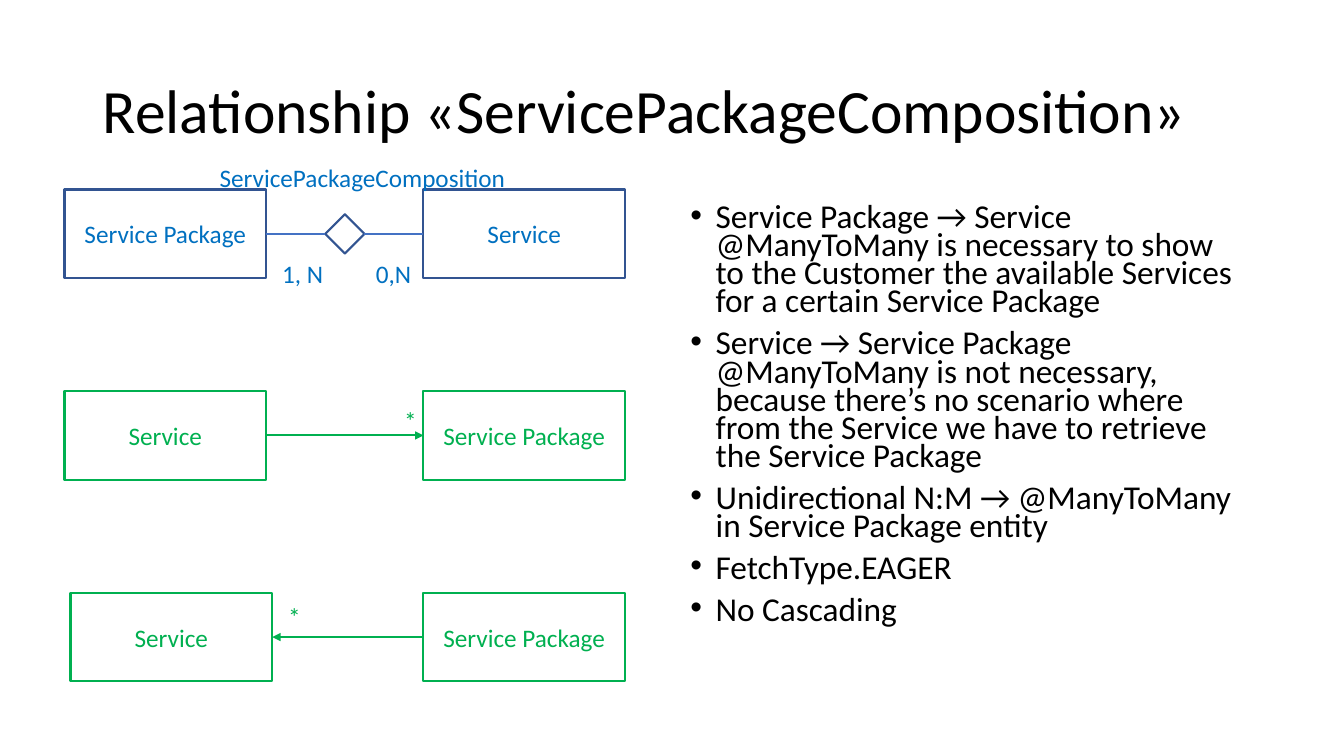
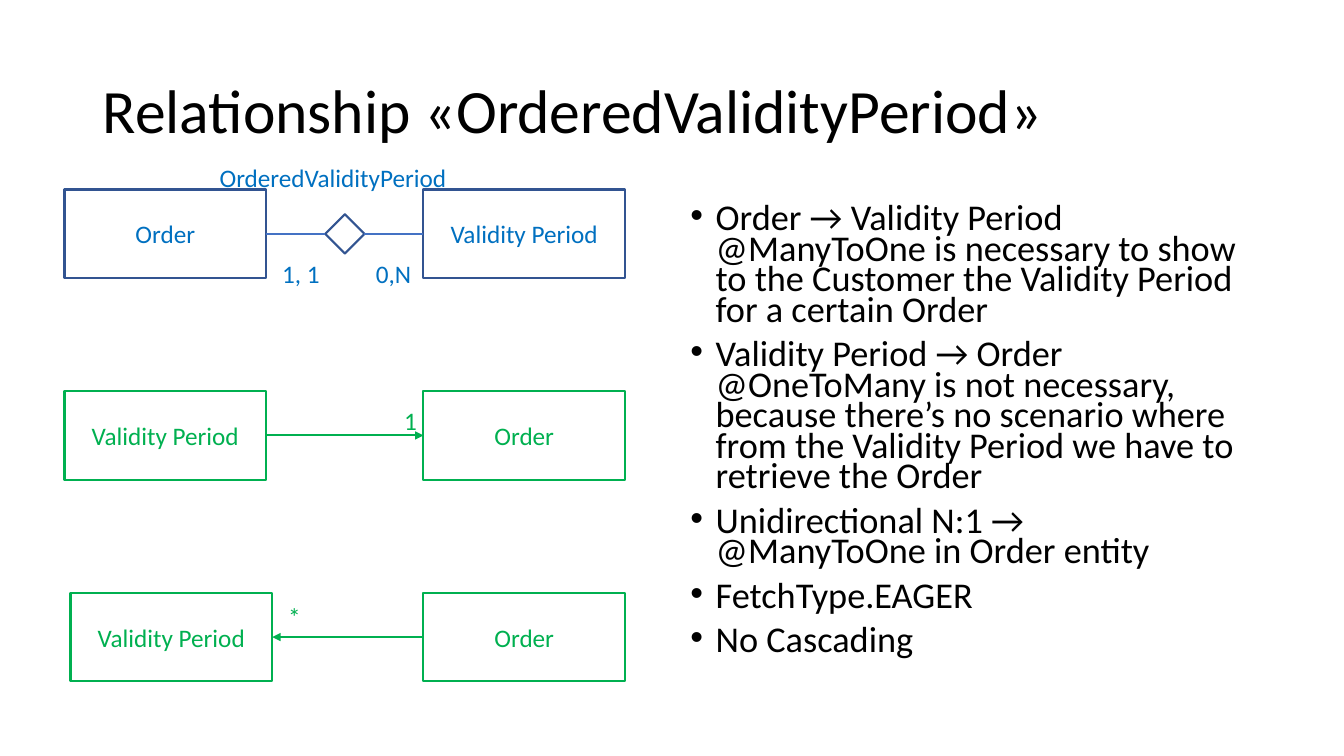
from lxml import etree
from pptx import Presentation
from pptx.dml.color import RGBColor
from pptx.enum.shapes import MSO_CONNECTOR, MSO_SHAPE
from pptx.enum.text import MSO_ANCHOR, PP_ALIGN
from pptx.oxml.ns import qn
from pptx.util import Inches, Pt

RECTANGLE, DIAMOND = MSO_SHAPE.RECTANGLE, MSO_SHAPE.DIAMOND
STRAIGHT = MSO_CONNECTOR.STRAIGHT
MIDDLE, TOP = MSO_ANCHOR.MIDDLE, MSO_ANCHOR.TOP
CENTER = PP_ALIGN.CENTER

COLORS = {
    "text": "000000",
    "entity": "0070C0",
    "outline": "325491",
    "link": "4472C4",
    "relation": "00B050",
}
FONT = "Calibri"
LABEL_SIZE = 18
LINE_WIDTH = 1.5
BOX_WIDTH, BOX_HEIGHT = 2, 0.88
LEFT, LEFT_INSET, RIGHT = 0.64, 0.7, 4.2
ROW_TOPS = [1.88 + 2 * row for row in range(3)]
DIAMOND_SIZE = 0.39
TITLE_FORMAT = {"line_spacing": 0.9}
BULLET_FORMAT = {"line_spacing": 0.7, "space_before": Pt(10)}

PAGES = [
    {
        "name": "ServicePackageComposition",
        "owner": "Service Package",
        "target": "Service",
        "cardinality": "1, N",
        "cardinality_width": 0.61,
        "forward": "*",
        "size": 23.8,
        "bullets": [
            "Service Package → Service @ManyToMany is necessary to show to the Customer "
            "the available Services for a certain Service Package",
            "Service → Service Package @ManyToMany is not necessary, because there’s no "
            "scenario where from the Service we have to retrieve the Service Package",
            "Unidirectional N:M → @ManyToMany in Service Package entity",
        ],
    },
    {
        "name": "OrderedValidityPeriod",
        "owner": "Order",
        "target": "Validity Period",
        "cardinality": "1, 1",
        "cardinality_width": 0.58,
        "forward": "1",
        "size": 25.9,
        "bullets": [
            "Order → Validity Period @ManyToOne is necessary to show to the Customer "
            "the Validity Period for a certain Order",
            "Validity Period → Order @OneToMany is not necessary, because there’s no "
            "scenario where from the Validity Period we have to retrieve the Order",
            "Unidirectional N:1 → @ManyToOne in Order entity",
        ],
    },
]
SHARED_BULLETS = ["FetchType.EAGER", "No Cascading"]


def color(name):
    return RGBColor.from_string(COLORS[name])


def apply_format(target, values):
    for name, value in values.items():
        setattr(target, name, value)


def write(para, text, size, color_name, values):
    span = para.add_run()
    span.text = text
    apply_format(span.font, {"name": FONT, "size": Pt(size)})
    span.font.color.rgb = color(color_name)
    apply_format(para, values)


def add_text(page, place, texts, size, color_name, values, anchor=TOP, wrap=True):
    box = page.shapes.add_textbox(*map(Inches, place))
    frame = box.text_frame
    apply_format(frame, {"word_wrap": wrap, "vertical_anchor": anchor})
    for index, text in enumerate(texts):
        para = frame.paragraphs[0] if index == 0 else frame.add_paragraph()
        write(para, text, size, color_name, values)
    return box


def add_label(page, place, text, color_name, wrap=False):
    add_text(page, place, [text], LABEL_SIZE, color_name, {}, wrap=wrap)


def add_bullets(page, texts, size):
    box = add_text(page, (6.75, 2, 5.67, 4.76), texts, size, "text", BULLET_FORMAT)
    for para in box.text_frame.paragraphs:
        properties = para._p.get_or_add_pPr()
        properties.set("marL", str(Inches(0.25)))
        properties.set("indent", str(-Inches(0.25)))
        font = etree.SubElement(properties, qn("a:buFont"))
        font.set("typeface", "Arial")
        etree.SubElement(properties, qn("a:buChar")).set("char", "•")


def add_outline(page, kind, place, line_color):
    shape = page.shapes.add_shape(kind, *map(Inches, place))
    shape.shadow.inherit = False
    shape.fill.background()
    shape.line.color.rgb = color(line_color)
    shape.line.width = Pt(LINE_WIDTH)
    return shape


def add_entity(page, left, top, text, line_color, text_color):
    place = (left, top, BOX_WIDTH, BOX_HEIGHT)
    box = add_outline(page, RECTANGLE, place, line_color)
    frame = box.text_frame
    apply_format(frame, {"word_wrap": True, "vertical_anchor": MIDDLE})
    write(frame.paragraphs[0], text, LABEL_SIZE, text_color, {"alignment": CENTER})


def add_line(page, start, end, y, color_name, arrow=False):
    line = page.shapes.add_connector(STRAIGHT, *map(Inches, (start, y, end, y)))
    line.line.color.rgb = color(color_name)
    line.line.width = Pt(LINE_WIDTH)
    if arrow:
        outline = line.line._get_or_add_ln()
        etree.SubElement(outline, qn("a:tailEnd")).set("type", "triangle")
    etree.SubElement(line._element.spPr, qn("a:effectLst"))


def add_composition(page, content):
    top = ROW_TOPS[0]
    middle = top + BOX_HEIGHT / 2
    edge = LEFT + BOX_WIDTH
    diamond_left = (edge + RIGHT - DIAMOND_SIZE) / 2
    add_entity(page, RIGHT, top, content["target"], "outline", "entity")
    add_entity(page, LEFT, top, content["owner"], "outline", "entity")
    place = (diamond_left, middle - DIAMOND_SIZE / 2, DIAMOND_SIZE, DIAMOND_SIZE)
    add_outline(page, DIAMOND, place, "outline")
    add_line(page, edge, diamond_left, middle, "link")
    add_line(page, diamond_left + DIAMOND_SIZE, RIGHT, middle, "link")
    cardinality_place = (2.7, 2.51, content["cardinality_width"], 0.4)
    add_label(page, cardinality_place, content["cardinality"], "entity")
    add_label(page, (3.63, 2.51, 0.56, 0.4), "0,N", "entity")
    add_label(page, (2.08, 1.56, 3.08, 0.4), content["name"], "entity", wrap=True)


def add_direction(page, content, top, left, label, label_place, forward):
    add_entity(page, RIGHT, top, content["owner"], "relation", "relation")
    add_entity(page, left, top, content["target"], "relation", "relation")
    ends = (left + BOX_WIDTH, RIGHT)
    start, end = ends if forward else ends[::-1]
    add_line(page, start, end, top + BOX_HEIGHT / 2, "relation", arrow=True)
    add_label(page, (*label_place, 0.33, 0.4), label, "relation")


def add_page(deck, content):
    page = deck.slides.add_slide(deck.slide_layouts[6])
    title = f"Relationship «{content['name']}»"
    add_text(page, (0.92, 0.4, 11.5, 1.45), [title], 44, "text", TITLE_FORMAT, MIDDLE)
    add_bullets(page, content["bullets"] + SHARED_BULLETS, content["size"])
    add_composition(page, content)
    add_direction(page, content, ROW_TOPS[1], LEFT, content["forward"], (3.91, 3.97), True)
    add_direction(page, content, ROW_TOPS[2], LEFT_INSET, "*", (2.76, 5.92), False)


def main():
    deck = Presentation()
    apply_format(deck, {"slide_width": Inches(13.33), "slide_height": Inches(7.5)})
    for content in PAGES:
        add_page(deck, content)
    deck.save("out.pptx")


if __name__ == "__main__":
    main()
